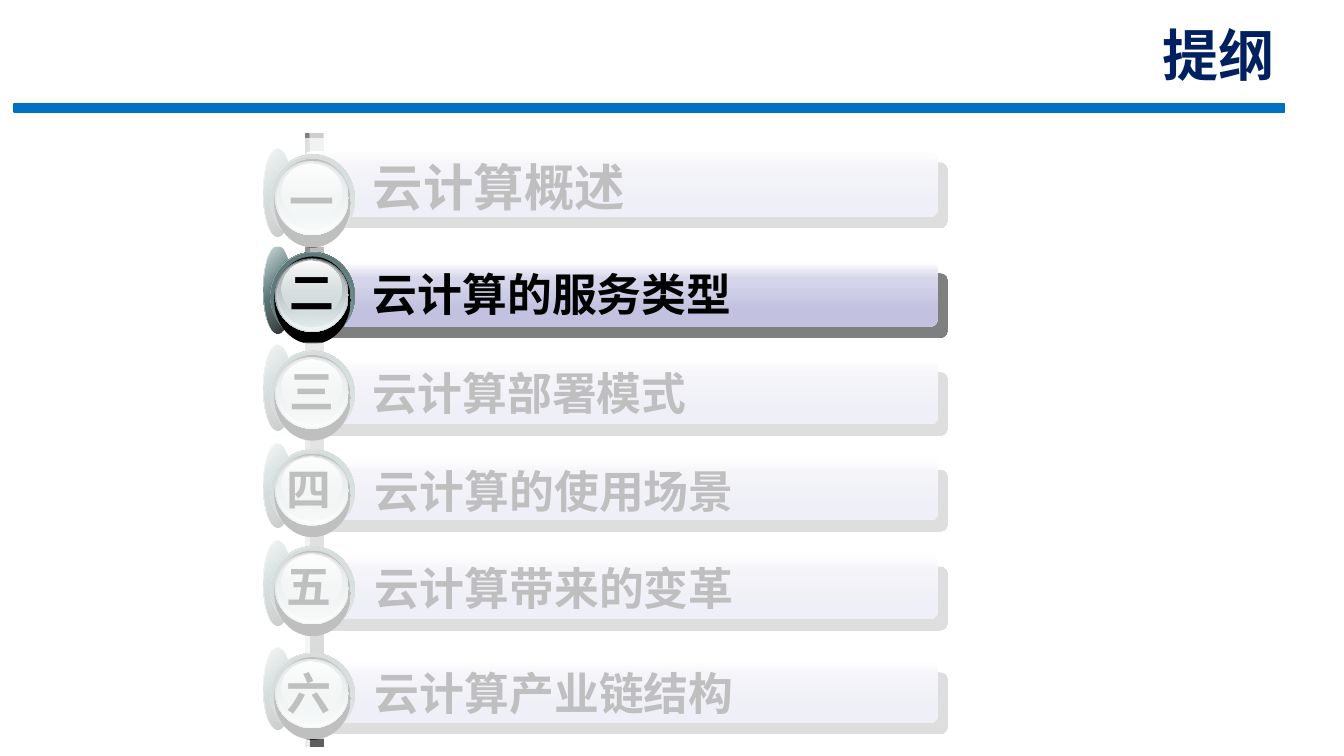
import pptx
import pptx.dml.color
import pptx.enum.shapes
import pptx.enum.text
import pptx.oxml.ns
import pptx.util
from lxml import etree

Inches = pptx.util.Inches
RGBColor = pptx.dml.color.RGBColor
SHAPES = pptx.enum.shapes.MSO_SHAPE
ALIGN = pptx.enum.text.PP_ALIGN
ANCHOR = pptx.enum.text.MSO_ANCHOR
AUTO_SIZE = pptx.enum.text.MSO_AUTO_SIZE
qn = pptx.oxml.ns.qn

WHITE = RGBColor(0xFF, 0xFF, 0xFF)
BLACK = RGBColor(0x00, 0x00, 0x00)
NAVY = RGBColor(0x00, 0x20, 0x60)
BLUE = RGBColor(0x00, 0x70, 0xC0)
LILAC = RGBColor(0xD6, 0xD6, 0xEB)
LAVENDER = RGBColor(0xC2, 0xC2, 0xE0)
TEAL = RGBColor(0x83, 0xA6, 0xA7)
DARK_TEAL = RGBColor(0x47, 0x5A, 0x5A)
DEEP_TEAL = RGBColor(0x53, 0x69, 0x6A)
SLATE = RGBColor(0x63, 0x68, 0x69)
SILVER = RGBColor(0xAA, 0xB2, 0xB3)
MIST = RGBColor(0xD6, 0xE1, 0xE2)
FROST = RGBColor(0xF1, 0xF5, 0xF5)
GRAY = RGBColor(0x80, 0x80, 0x80)
LIGHT_GRAY = RGBColor(0xEC, 0xEC, 0xEC)
MID_GRAY = RGBColor(0xCF, 0xCF, 0xCF)
DARK_GRAY = RGBColor(0x5F, 0x5F, 0x5F)

CJK_FONT = "Noto Sans CJK SC"
TITLE_FONT = "Lato"

BAR_STOPS = [(0, WHITE), (25, LILAC), (75, LAVENDER)]
RAILS = [
    (3.02, 0.05, [(0, GRAY), (100, LIGHT_GRAY)]),
    (3.07, 0.14, [(0, MID_GRAY), (100, DARK_GRAY)]),
]

# left, width, top and height as shares of the badge height, stops, angle
BADGE_LAYERS = [
    (2.61, 0.28, 0, 1, [(0, WHITE), (50, TEAL), (100, WHITE)], 45),
    (2.61, 0.28, 0, 1, [(0, TEAL, 32), (100, BLACK, 90)], 45),
    (2.68, 0.84, 0.07, 1, [(0, DARK_TEAL), (50, TEAL), (100, DARK_TEAL)], 315),
    (2.68, 0.84, 0.08, 1, [(0, DEEP_TEAL), (100, TEAL, 0)], 45),
    (2.72, 0.76, 0.12, 1, [(0, BLACK), (100, BLACK)], 90),
    (2.73, 0.73, 0.14, 0.84, [(0, SLATE), (100, MIST)], 90),
    (2.74, 0.71, 0.14, 0.82, [(0, MIST, 0), (100, FROST)], 90),
    (2.75, 0.68, 0.15, 0.77, [(0, SILVER), (100, MIST, 48)], 90),
    (2.79, 0.6, 0.17, 0.62, [(0, WHITE), (100, MIST, 38)], 90),
]

# number, topic, size, badge top and height, bar left, top and height,
# topic left, number left and top
TOPICS = [
    ("一", "云计算概述", 36, 1.47, 0.88, 3.02, 1.5, 0.65, 3.6, 2.77, 1.67),
    ("二", "云计算的服务类型", 32, 2.44, 0.87, 3.02, 2.6, 0.64, 3.6, 2.77, 2.58),
    ("三", "云计算部署模式", 32, 3.42, 0.85, 3.02, 3.58, 0.63, 3.6, 2.77, 3.56),
    ("四", "云计算的使用场景", 32, 4.4, 0.83, 2.92, 4.55, 0.61, 3.62, 2.74, 4.53),
    ("五", "云计算带来的变革", 32, 5.36, 0.85, 2.92, 5.51, 0.63, 3.62, 2.74, 5.49),
    ("六", "云计算产业链结构", 32, 6.42, 0.82, 2.92, 6.56, 0.61, 3.62, 2.74, 6.55),
]
BAR_RIGHT = 9.3


def add_color(parent, color, opacity=100):
    swatch = etree.SubElement(parent, qn("a:srgbClr"), val=str(color))
    if opacity < 100:
        etree.SubElement(swatch, qn("a:alpha"), val=str(opacity * 1000))


def add_block(shapes, kind, left, top, width, height):
    block = shapes.add_shape(kind, Inches(left), Inches(top), Inches(width), Inches(height))
    block.line.fill.background()
    block.shadow.inherit = False
    return block


def fill_gradient(block, stops, angle=90):
    block.fill.gradient()
    gradient = block._element.spPr.find(qn("a:gradFill"))
    gradient.clear()
    gradient.set("rotWithShape", "1")
    stop_list = etree.SubElement(gradient, qn("a:gsLst"))
    for position, *color in stops:
        stop = etree.SubElement(stop_list, qn("a:gs"), pos=str(position * 1000))
        add_color(stop, *color)
    etree.SubElement(gradient, qn("a:lin"), ang=str(angle * 60000), scaled="0")


def fill_solid(block, color, opacity=100):
    block.fill.solid()
    block.fill.fore_color.rgb = color
    if opacity < 100:
        swatch = block._element.spPr.find(qn("a:solidFill")).find(qn("a:srgbClr"))
        etree.SubElement(swatch, qn("a:alpha"), val=str(opacity * 1000))


def cast_shadow(block):
    effects = block._element.spPr.find(qn("a:effectLst"))
    shadow = etree.SubElement(
        effects, qn("a:outerShdw"), blurRad="0", dist=str(pptx.util.Pt(10.6)),
        dir=str(49 * 60000), algn="ctr", rotWithShape="0")
    add_color(shadow, BLACK, 50)


def write_text(frame, text, size=32, font=CJK_FONT, color=BLACK, align=ALIGN.LEFT,
               anchor=ANCHOR.TOP, wrap=True, auto_size=AUTO_SIZE.SHAPE_TO_FIT_TEXT):
    frame.word_wrap = wrap
    frame.auto_size = auto_size
    frame.vertical_anchor = anchor
    paragraph = frame.paragraphs[0]
    paragraph.alignment = align
    run = paragraph.add_run()
    run.text = text
    run.font.size = pptx.util.Pt(size)
    run.font.bold = True
    run.font.color.rgb = color
    run.font.name = font
    etree.SubElement(run.font._element, qn("a:ea"), typeface=CJK_FONT)


def add_label(shapes, text, left, top, width, height, **text_format):
    label = shapes.add_textbox(Inches(left), Inches(top), Inches(width), Inches(height))
    write_text(label.text_frame, text, **text_format)


def add_header(slide):
    rule = add_block(slide.shapes, SHAPES.RECTANGLE, 0.14, 1.03, 12.6, 0.08)
    fill_solid(rule, BLUE)
    rule.line.color.rgb = BLUE
    rule.line.width = pptx.util.Pt(1)
    title = slide.shapes.title
    title.left, title.top = Inches(6.41), Inches(0.34)
    title.width, title.height = Inches(6.33), Inches(0.58)
    write_text(title.text_frame, "提纲", size=40, font=TITLE_FONT, color=NAVY,
               align=ALIGN.RIGHT, anchor=ANCHOR.BOTTOM, auto_size=AUTO_SIZE.NONE)


def add_topic(slide, number, topic, size, badge_top, badge_height, bar_left, bar_top,
              bar_height, topic_left, number_left, number_top):
    shapes = slide.shapes.add_group_shape().shapes
    bar = add_block(shapes, SHAPES.ROUNDED_RECTANGLE, bar_left, bar_top,
                    BAR_RIGHT - bar_left, bar_height)
    bar.adjustments[0] = 0.11
    fill_gradient(bar, BAR_STOPS)
    cast_shadow(bar)
    add_label(shapes, topic, topic_left, bar_top, 5.2, size * 0.02, size=size)
    for left, width, top_share, height_share, stops, angle in BADGE_LAYERS:
        layer = add_block(shapes, SHAPES.OVAL, left, badge_top + top_share * badge_height,
                          width, height_share * badge_height)
        fill_gradient(layer, stops, angle)
    add_label(shapes, number, number_left, number_top, 0.64, 0.62, wrap=False)


def add_veil(slide, left, top, height):
    veil = add_block(slide.shapes, SHAPES.RECTANGLE, left, top, 9.06, height)
    fill_solid(veil, WHITE, 75)


def main():
    deck = pptx.Presentation()
    deck.slide_width, deck.slide_height = Inches(13.33), Inches(7.5)
    slide = deck.slides.add_slide(deck.slide_layouts[5])
    add_header(slide)
    for left, width, stops in RAILS:
        rail = add_block(slide.shapes, SHAPES.RECTANGLE, left, 1.32, width, 6.09)
        fill_gradient(rail, stops)
    for topic in TOPICS:
        add_topic(slide, *topic)
    add_veil(slide, 1.63, 1.37, 1.08)
    add_veil(slide, 1.58, 3.4, 3.93)
    deck.save("out.pptx")


if __name__ == "__main__":
    main()
